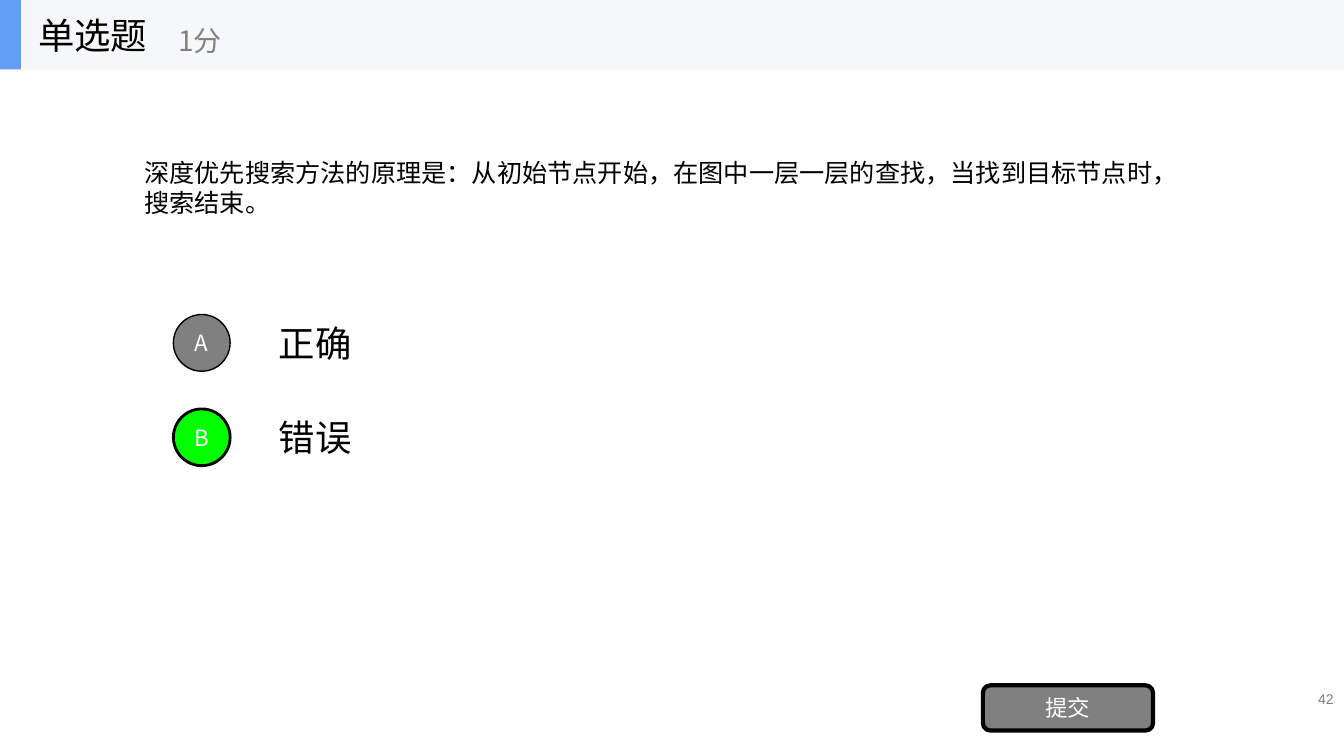
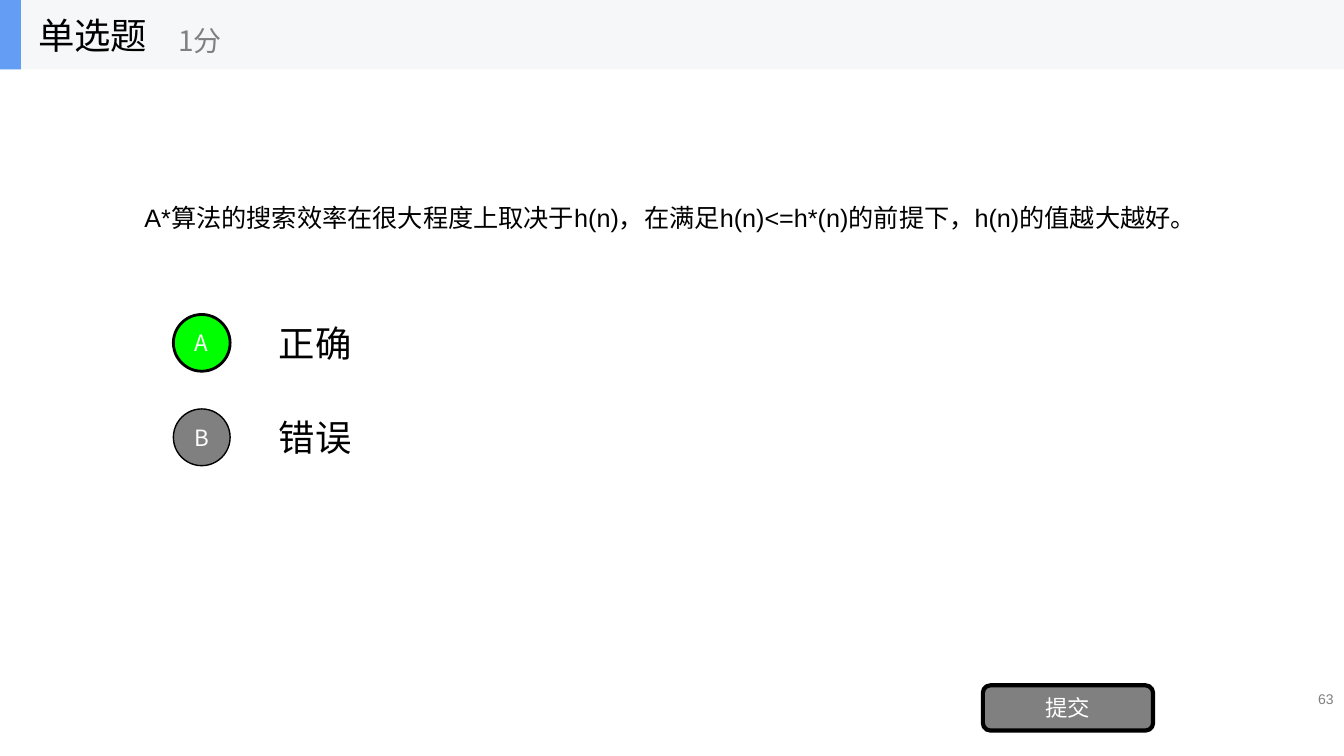
from pptx import Presentation
from pptx.dml.color import RGBColor
from pptx.enum.shapes import MSO_SHAPE as SHAPE
from pptx.enum.text import MSO_ANCHOR as ANCHOR, PP_ALIGN as ALIGN
from pptx.oxml.ns import qn
from pptx.util import Cm, Pt
from lxml import etree

# Content
OPTIONS = [("A", "正确"), ("B", "错误")]
QUESTIONS = [
    {"text": "深度优先搜索方法的原理是：从初始节点开始，在图中一层一层的查找，"
             "当找到目标节点时，搜索结束。",
     "top": 1.75, "answer": "B", "page": "42"},
    {"text": "A*算法的搜索效率在很大程度上取决于h(n)，在满足h(n)<=h*(n)的前提下，"
             "h(n)的值越大越好。",
     "top": 2.51, "answer": "A", "page": "63"},
]

# Shared style
BLACK, WHITE, GREY = "000000", "FFFFFF", "808080"
GREEN, BAND, ACCENT = "00FF00", "F6F7F8", "639EF4"
LATIN, CJK = "Arial", "Noto Sans CJK SC"
SLIDE_W, SLIDE_H, HEADER_H = 33.87, 19.05, 1.75
OPTION_TOP, OPTION_STEP, OPTION_H, BADGE = 7.75, 2.38, 1.78, 1.43


def rgb(color):
    return RGBColor.from_string(color)


def write(sp, text, size, color, font=CJK, align=ALIGN.LEFT):
    tf = sp.text_frame
    tf.word_wrap = True
    tf.vertical_anchor = ANCHOR.MIDDLE
    p = tf.paragraphs[0]
    p.alignment = align
    r = p.add_run()
    r.text = text
    r.font.size = Pt(size)
    r.font.color.rgb = rgb(color)
    r.font.name = font
    etree.SubElement(r.font._element, qn("a:ea"), typeface=CJK)


def add_text(shapes, box, *args, **style):
    write(shapes.add_textbox(*map(Cm, box)), *args, **style)


def add_shape(shapes, kind, box, fill, line=0):
    sp = shapes.add_shape(kind, *map(Cm, box))
    sp.shadow.inherit = False
    sp.fill.solid()
    sp.fill.fore_color.rgb = rgb(fill)
    if line:
        sp.line.color.rgb = rgb(BLACK)
        sp.line.width = Pt(line)
    else:
        sp.line.fill.background()
    return sp


def add_header(s):
    shapes = s.shapes.add_group_shape().shapes
    add_shape(shapes, SHAPE.RECTANGLE, (0, 0, SLIDE_W, HEADER_H), BAND)
    add_shape(shapes, SHAPE.RECTANGLE, (0, 0, 0.53, HEADER_H), ACCENT)
    add_text(shapes, (0.71, 0, 5.28, HEADER_H), "单选题", 26, BLACK)
    add_text(shapes, (4.24, 0.3, 6.35, 1.42), "1分", 20, GREY)


def add_options(s, answer):
    for i, (letter, label) in enumerate(OPTIONS):
        top = OPTION_TOP + i * OPTION_STEP
        add_text(s.shapes, (6.78, top, 23.7, OPTION_H), label, 26, BLACK)
        fill, line = (GREEN, 2) if letter == answer else (GREY, 1)
        badge_top = top + (OPTION_H - BADGE) / 2
        badge = add_shape(s.shapes, SHAPE.OVAL, (4.37, badge_top, BADGE, BADGE), fill, line)
        # The letter needs the full width of the small circle
        badge.text_frame.margin_left = badge.text_frame.margin_right = 0
        write(badge, letter, 16, WHITE, align=ALIGN.CENTER)


def add_question(prs, question):
    s = prs.slides.add_slide(prs.slide_layouts[6])
    # Page number and question
    add_text(s.shapes, (25.78, 17.32, 8.08, 0.58), question["page"], 10, GREY,
             font=LATIN, align=ALIGN.RIGHT)
    add_text(s.shapes, (3.39, question["top"], 27.09, 5.94), question["text"], 18, BLACK,
             font=LATIN)
    add_options(s, question["answer"])
    # Submit button
    button = add_shape(s.shapes, SHAPE.ROUNDED_RECTANGLE, (24.77, 17.27, 4.29, 1.14), GREY, 3)
    write(button, "提交", 16, WHITE, align=ALIGN.CENTER)
    add_header(s)


def main():
    prs = Presentation()
    prs.slide_width, prs.slide_height = Cm(SLIDE_W), Cm(SLIDE_H)
    for question in QUESTIONS:
        add_question(prs, question)
    prs.save("out.pptx")


if __name__ == "__main__":
    main()
